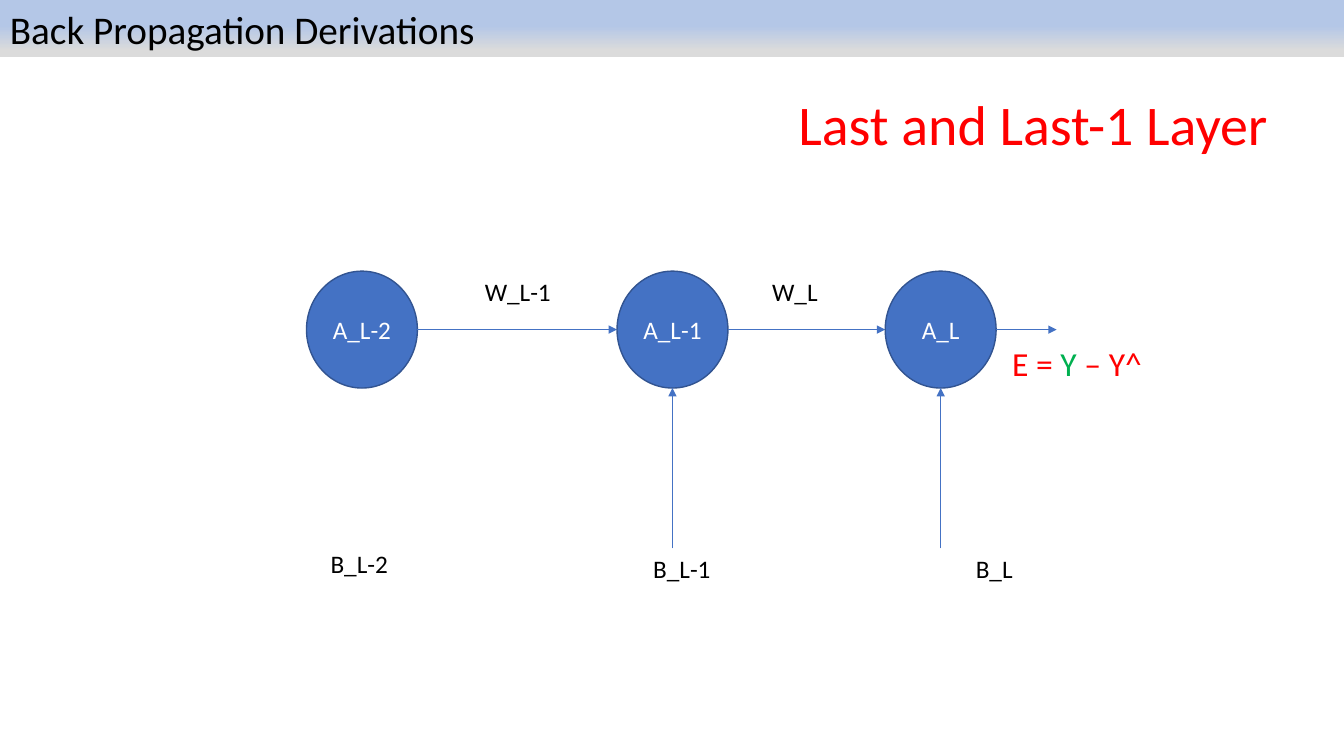
"""Build the slide on back propagation through the last two layers."""
from lxml import etree
from pptx import Presentation
from pptx.dml.color import RGBColor
from pptx.enum.shapes import MSO_CONNECTOR, MSO_SHAPE
from pptx.enum.text import MSO_ANCHOR, MSO_AUTO_SIZE, PP_ALIGN
from pptx.oxml.ns import qn
from pptx.util import Inches, Pt

STRAIGHT = MSO_CONNECTOR.STRAIGHT
ELLIPSE, RECTANGLE = MSO_SHAPE.OVAL, MSO_SHAPE.RECTANGLE
LEFT, CENTER = PP_ALIGN.LEFT, PP_ALIGN.CENTER
TOP, MIDDLE = MSO_ANCHOR.TOP, MSO_ANCHOR.MIDDLE
FIT_SHAPE = MSO_AUTO_SIZE.SHAPE_TO_FIT_TEXT

THEME = {
    "font": "Calibri",
    "colors": {
        "black": "000000", "white": "FFFFFF", "red": "FF0000", "green": "00B050",
        "blue": "4472C4", "outline": "325491",
    },
    "header_stops": [(0.45, "B4C7E7"), (0.88, "DBDBDB")],
    "sizes": {"label": 18, "error": 24, "header": 28, "heading": 40},
    "node_line": 1,
    "arrow_line": 0.5,
}

SLIDE_WIDTH, SLIDE_HEIGHT = 13.33, 7.5
HEADER_HEIGHT = 0.57
NODE_TOP, NODE_WIDTH, NODE_HEIGHT = 2.69, 1.1, 1.16
BIAS_START = 5.44
OUTPUT_LENGTH = 0.6

HEADER = [("Back Propagation Derivations", "black")]
NODES = [("A_L-2", 3.04, False), ("A_L-1", 6.12, True), ("A_L", 8.78, True)]
TEXTS = [
    ([("Last and Last-1 Layer", "red")], "heading", (7.82, 0.84, 4.92, 0.77)),
    ([("E = ", "red"), ("Y", "green"), (" – Y^", "red")], "error", (9.94, 3.35, 1.58, 0.5)),
    ([("W_L-1", "black")], "label", (4.71, 2.69, 0.86, 0.4)),
    ([("W_L", "black")], "label", (7.56, 2.69, 0.66, 0.4)),
    ([("B_L-2", "black")], "label", (3.18, 5.39, 0.78, 0.4)),
    ([("B_L-1", "black")], "label", (6.38, 5.44, 0.78, 0.4)),
    ([("B_L", "black")], "label", (9.58, 5.44, 0.57, 0.4)),
]


def color(name):
    return RGBColor.from_string(THEME["colors"][name])


def write(shape, runs, size, alignment=LEFT, anchor=TOP, wrap=True):
    frame = shape.text_frame
    frame.word_wrap = wrap
    frame.vertical_anchor = anchor
    paragraph = frame.paragraphs[0]
    paragraph.alignment = alignment
    for text, color_name in runs:
        run = paragraph.add_run()
        run.text = text
        run.font.name = THEME["font"]
        run.font.size = Pt(THEME["sizes"][size])
        run.font.color.rgb = color(color_name)


def add_header(slide):
    shape = slide.shapes.add_shape(
        RECTANGLE, 0, 0, Inches(SLIDE_WIDTH), Inches(HEADER_HEIGHT))
    shape.shadow.inherit = False
    shape.line.fill.background()
    shape.fill.gradient()
    shape.fill.gradient_angle = 270
    for stop, (position, value) in zip(shape.fill.gradient_stops, THEME["header_stops"]):
        stop.position = position
        stop.color.rgb = RGBColor.from_string(value)
    write(shape, HEADER, "header")
    shape.text_frame.auto_size = FIT_SHAPE


def add_node(slide, label, left):
    shape = slide.shapes.add_shape(
        ELLIPSE, Inches(left), Inches(NODE_TOP), Inches(NODE_WIDTH), Inches(NODE_HEIGHT))
    shape.shadow.inherit = False
    shape.fill.solid()
    shape.fill.fore_color.rgb = color("blue")
    shape.line.color.rgb = color("outline")
    shape.line.width = Pt(THEME["node_line"])
    write(shape, [(label, "white")], "label", CENTER, MIDDLE)


def add_arrow(slide, start, end):
    connector = slide.shapes.add_connector(
        STRAIGHT, *(Inches(value) for value in start + end))
    connector.line.color.rgb = color("blue")
    connector.line.width = Pt(THEME["arrow_line"])
    line = connector.line._get_or_add_ln()
    etree.SubElement(line, qn("a:tailEnd"), type="triangle")
    etree.SubElement(connector._element.spPr, qn("a:effectLst"))


def add_text(slide, runs, size, box):
    shape = slide.shapes.add_textbox(*(Inches(value) for value in box))
    write(shape, runs, size, wrap=False)
    shape.text_frame.auto_size = FIT_SHAPE


def add_network(slide):
    middle = NODE_TOP + NODE_HEIGHT / 2
    bottom = NODE_TOP + NODE_HEIGHT
    lefts = [left for _, left, _ in NODES]
    output_end = lefts[-1] + NODE_WIDTH + OUTPUT_LENGTH
    for (label, left, has_bias), target in zip(NODES, lefts[1:] + [output_end]):
        add_node(slide, label, left)
        add_arrow(slide, (left + NODE_WIDTH, middle), (target, middle))
        if has_bias:
            center = left + NODE_WIDTH / 2
            add_arrow(slide, (center, BIAS_START), (center, bottom))


def main():
    presentation = Presentation()
    presentation.slide_width = Inches(SLIDE_WIDTH)
    presentation.slide_height = Inches(SLIDE_HEIGHT)
    slide = presentation.slides.add_slide(presentation.slide_layouts[6])
    add_network(slide)
    add_header(slide)
    for runs, size, box in TEXTS:
        add_text(slide, runs, size, box)
    presentation.save("out.pptx")


if __name__ == "__main__":
    main()
